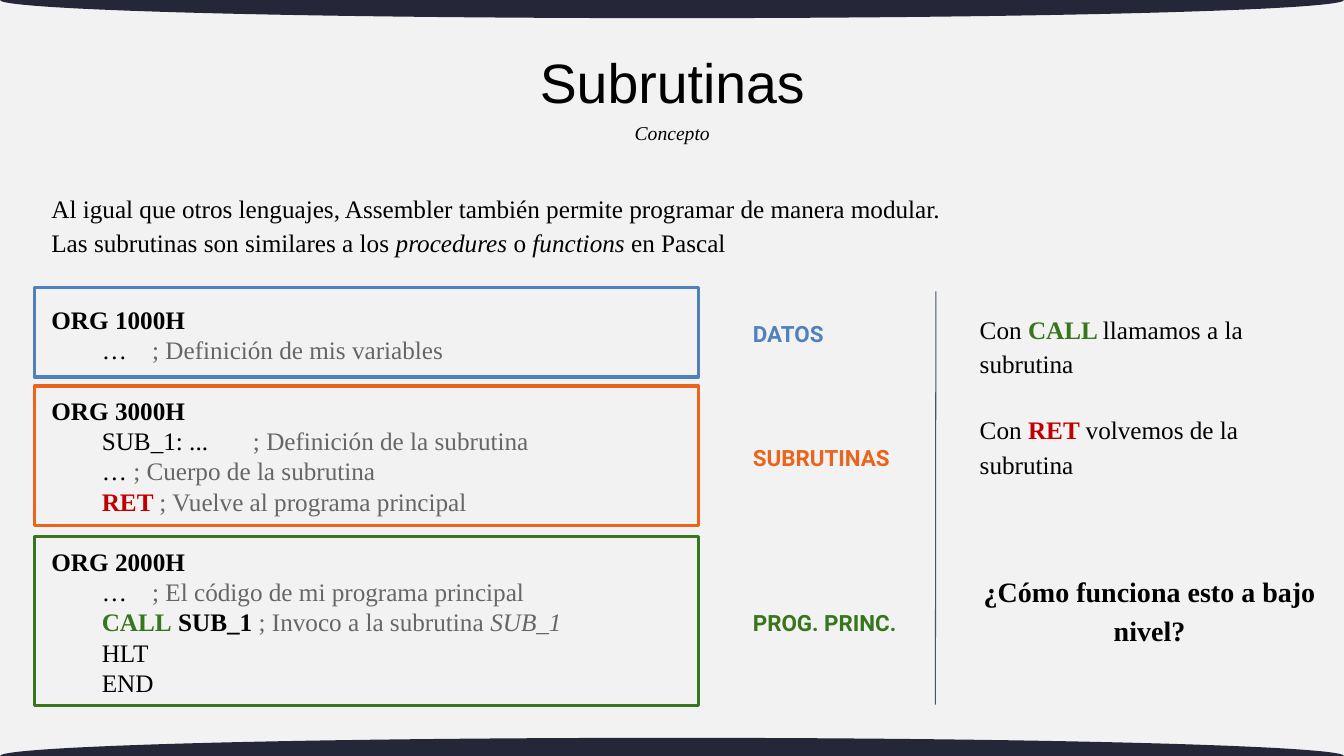
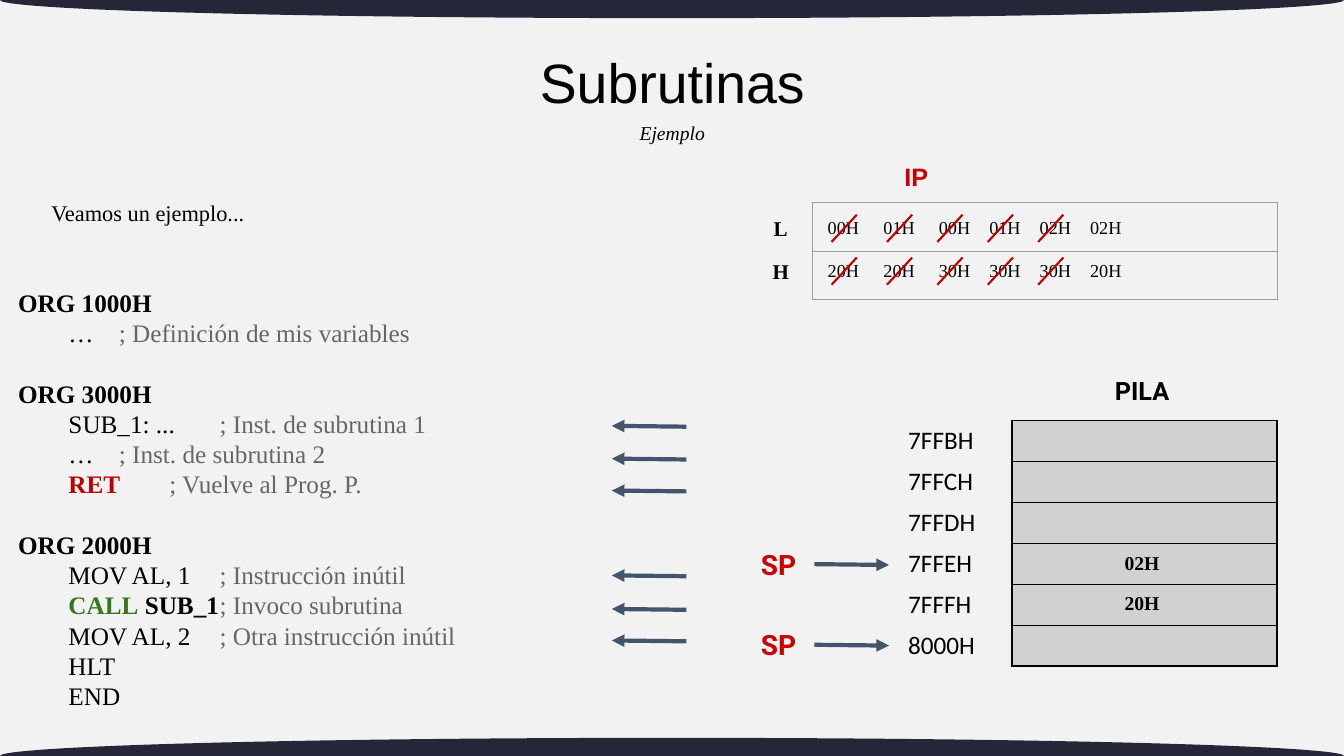
"""Build two slides on assembler subroutines: the concept and a traced example."""
from dataclasses import dataclass
from typing import NamedTuple, Optional

from lxml.etree import SubElement
from pptx import Presentation
from pptx.dml.color import RGBColor
from pptx.enum.shapes import MSO_CONNECTOR as Link, MSO_SHAPE as Preset
from pptx.enum.text import MSO_ANCHOR as Anchor, PP_ALIGN as Align
from pptx.oxml.ns import qn
from pptx.util import Inches, Pt

GRID_COLS, GRID_ROWS, CELL = 160, 90, 1 / 12
SERIF, SANS, LABEL, ADDRESS = "Times New Roman", "Arial", "Roboto", "Calibri"
INK, PAPER, BAND, SLATE = "000000", "F2F2F2", "252738", "44546A"
BLUE, ORANGE, GREEN = "4F81BD", "EB641B", "38761D"
RED, BRIGHT_RED, COMMENT = "C00000", "CC0000", "666666"
STACK_FILL, GRID_GREY = "D0D1D2", "9E9E9E"
BLANK_LINE = 21.6
CODE_INDENT = 6


class Box(NamedTuple):
    col: float
    row: float
    cols: float
    rows: float


class Point(NamedTuple):
    col: float
    row: float


class Run(NamedTuple):
    text: str
    color: Optional[str] = None
    bold: Optional[bool] = None
    italic: Optional[bool] = None


@dataclass(frozen=True)
class Line:
    runs: tuple
    indent: float = 0
    tab: float = 0
    before: float = 0


@dataclass(frozen=True)
class Style:
    size: float = 18
    font: str = SERIF
    color: str = INK
    bold: bool = False
    italic: bool = False
    align: Align = Align.LEFT
    spacing: Optional[float] = None
    pad: float = 1.2
    anchor: Anchor = Anchor.TOP


@dataclass(frozen=True)
class Segment:
    label: str
    color: str
    row: float
    rows: float
    label_row: float


class IpValue(NamedTuple):
    center: float
    low: str
    high: str
    strike_end: Optional[float] = None


TITLE = Style(39.6, SANS, align=Align.CENTER, spacing=0.9, pad=0.6, anchor=Anchor.MIDDLE)
SUBTITLE = Style(14, italic=True, align=Align.CENTER, pad=0.6)
BODY = Style(spacing=1.15)
CODE = Style()
QUESTION = Style(20, bold=True, align=Align.CENTER, spacing=1.15)
POINTER = Style(20, LABEL, BRIGHT_RED, bold=True, align=Align.CENTER, pad=0.6)
PILE = Style(18, LABEL, bold=True, align=Align.CENTER, pad=0.6)
REGISTER = Style(18, SANS, BRIGHT_RED, bold=True, align=Align.CENTER, pad=0.6)
BYTE_NAME = Style(15, bold=True, align=Align.CENTER)
IP_BYTE = Style(13, align=Align.CENTER)
STACK_BYTE = Style(14, bold=True, align=Align.CENTER)
STACK_ADDRESS = Style(18, ADDRESS, pad=0.6)

SEGMENTS = (
    Segment("DATOS", BLUE, 34.2, 10.68, 36.96),
    Segment("SUBRUTINAS", ORANGE, 45.96, 16.56, 51.72),
    Segment("PROG. PRINC.", GREEN, 63.84, 20.16, 71.28),
)
IP_HISTORY = (
    IpValue(100.4, "00H", "20H", 102),
    IpValue(107.04, "01H", "20H", 108.6),
    IpValue(113.64, "00H", "30H", 114.6),
    IpValue(119.64, "01H", "30H", 120.6),
    IpValue(125.64, "02H", "30H", 126.6),
    IpValue(131.64, "02H", "20H"),
)
STACK_ADDRESSES = ("7FFBH", "7FFCH", "7FFDH", "7FFEH", "7FFFH", "8000H")


def units(count: float) -> int:
    """Turn grid cells into a length."""
    return Inches(count * CELL)


def rgb(value: str) -> RGBColor:
    """Turn a hex string into a colour."""
    return RGBColor.from_string(value)


def org(address: str, before: float = BLANK_LINE) -> Line:
    """Give the directive that opens a memory segment."""
    return Line((Run(f"ORG {address}", bold=True),), before=before)


def code(*runs: Run, note: str = "", tab: float = 0) -> Line:
    """Give an indented instruction with an optional comment."""
    remark = (Run(note, COMMENT),) if note else ()
    return Line(runs + remark, CODE_INDENT, tab)


def plain(text: str) -> Line:
    """Give a line of one unmarked run."""
    return Line((Run(text),))


def fill_frame(frame, lines: tuple, style: Style) -> None:
    """Write lines into a text frame."""
    for number, line in enumerate(lines):
        paragraph = frame.add_paragraph() if number else frame.paragraphs[0]
        props = paragraph._p.get_or_add_pPr()
        if line.indent:
            props.set("marL", "0")
            props.set("indent", str(units(line.indent)))
        if line.tab:
            stops = SubElement(props, qn("a:tabLst"))
            SubElement(stops, qn("a:tab"), pos=str(units(line.tab)), algn="l")
        layout = {"alignment": style.align, "line_spacing": style.spacing,
                  "space_before": Pt(line.before)}
        for name, value in layout.items():
            setattr(paragraph, name, value)
        for part in line.runs:
            run = paragraph.add_run()
            run.text = part.text
            look = {"name": style.font, "size": Pt(style.size),
                    "bold": style.bold if part.bold is None else part.bold,
                    "italic": style.italic if part.italic is None else part.italic}
            for name, value in look.items():
                setattr(run.font, name, value)
            run.font.color.rgb = rgb(part.color or style.color)


def write(slide, box: Box, style: Style, *lines: Line) -> None:
    """Add a wrapping text box."""
    frame = slide.shapes.add_textbox(*map(units, box)).text_frame
    settings = {"word_wrap": True, "vertical_anchor": style.anchor,
                "margin_left": units(1.2), "margin_right": units(1.2),
                "margin_top": units(style.pad), "margin_bottom": units(style.pad)}
    for name, value in settings.items():
        setattr(frame, name, value)
    fill_frame(frame, lines, style)


def draw_shape(slide, preset: Preset, box: Box, fill: str = "", line: str = "") -> None:
    """Add a filled or outlined preset shape."""
    shape = slide.shapes.add_shape(preset, *map(units, box))
    shape.shadow.inherit = False
    if fill:
        shape.fill.solid()
        shape.fill.fore_color.rgb = rgb(fill)
    else:
        shape.fill.background()
    if line:
        shape.line.color.rgb = rgb(line)
        shape.line.width = Pt(2.25)
    else:
        shape.line.fill.background()


def draw_line(slide, start: Point, end: Point, color: str, width: float, arrow: bool = False) -> None:
    """Add a straight line, with an arrowhead at its end on request."""
    link = slide.shapes.add_connector(Link.STRAIGHT, *map(units, start + end))
    link.line.color.rgb = rgb(color)
    link.line.width = Pt(width)
    if arrow:
        SubElement(link.line._get_or_add_ln(), qn("a:tailEnd"), type="triangle")
    SubElement(link._element.spPr, qn("a:effectLst"))


def style_cell(cell, color: str, fill: str = "", **widths: float) -> None:
    """Set a cell's borders by side, then its fill."""
    props = cell._tc.get_or_add_tcPr()
    for side in "LRTB":
        width = widths.get(side, 0)
        edge = SubElement(props, qn(f"a:ln{side}"), w=str(Pt(width)))
        if width:
            SubElement(SubElement(edge, qn("a:solidFill")), qn("a:srgbClr"), val=color)
        else:
            SubElement(edge, qn("a:noFill"))
    if fill:
        cell.fill.solid()
        cell.fill.fore_color.rgb = rgb(fill)
    else:
        cell.fill.background()


def add_grid(slide, at: Point, columns: tuple, rows: int, height: float):
    """Add an unbanded table of equal rows."""
    box = Box(*at, sum(columns), rows * height)
    table = slide.shapes.add_table(rows, len(columns), *map(units, box)).table
    for name in ("first_row", "horz_banding"):
        setattr(table, name, False)
    for column, width in zip(table.columns, columns):
        column.width = units(width)
    for row in table.rows:
        row.height = units(height)
    return table


def start_slide(deck, subtitle: str):
    """Add a slide with the shared background, bands and headings."""
    slide = deck.slides.add_slide(deck.slide_layouts[6])
    slide.background.fill.solid()
    slide.background.fill.fore_color.rgb = rgb(PAPER)
    for edge in (0, GRID_ROWS):
        draw_shape(slide, Preset.OVAL, Box(0, edge - 2.16, GRID_COLS, 4.32), fill=BAND)
    write(slide, Box(42.12, 4.56, 75.84, 11.28), TITLE, plain("Subrutinas"))
    write(slide, Box(52.8, 13.8, 54.48, 4.08), SUBTITLE, plain(subtitle))
    return slide


def build_concept(deck) -> None:
    """Show the program's segments and the two instructions."""
    slide = start_slide(deck, "Concepto")
    for segment in SEGMENTS:
        draw_shape(slide, Preset.RECTANGLE, Box(4.08, segment.row, 79.08, segment.rows), line=segment.color)
        write(slide, Box(88.44, segment.label_row, 20.76, 5.28),
              Style(16, LABEL, segment.color, bold=True), plain(segment.label))
    write(slide, Box(4.92, 21.24, 140.52, 11.28), BODY,
          plain("Al igual que otros lenguajes, Assembler también permite programar de manera modular."),
          Line((Run("Las subrutinas son similares a los "), Run("procedures ", italic=True), Run("o "),
                Run("functions", italic=True), Run(" en Pascal"))))
    write(slide, Box(4.92, 35.04, 75.84, 48.72), CODE,
          org("1000H", before=0),
          code(Run("…\t"), note="; Definición de mis variables", tab=10.45),
          org("3000H"),
          code(Run("SUB_1: ...\t"), note="; Definición de la subrutina", tab=20.2),
          code(Run("… "), note="; Cuerpo de la subrutina"),
          code(Run("RET ", RED, True), note="; Vuelve al programa principal"),
          org("2000H"),
          code(Run("…\t"), note="; El código de mi programa principal", tab=10.45),
          code(Run("CALL", GREEN, True), Run(" SUB_1 ", bold=True),
               Run("; Invoco a la subrutina ", COMMENT), Run("SUB_1", COMMENT, italic=True)),
          code(Run("HLT")), code(Run("END")))
    draw_line(slide, Point(111.42, 34.68), Point(111.36, 83.88), SLATE, 0.75)
    for row, keyword, color, effect in ((35.64, "CALL ", GREEN, "llamamos a la subrutina"),
                                        (47.64, "RET ", RED, "volvemos de la subrutina")):
        write(slide, Box(115.44, row, 42.84, 11.28), BODY,
              Line((Run("Con "), Run(keyword, color, True), Run(effect))))
    write(slide, Box(115.44, 66.6, 42.84, 11.28), QUESTION, plain("¿Cómo funciona esto a bajo nivel?"))


def draw_stack(slide) -> None:
    """Draw the stack, its addresses, its bytes and the stack pointers."""
    table = add_grid(slide, Point(106.92, 50.04), (13.56, 31.56), len(STACK_ADDRESSES), 4.88)
    for row, address in enumerate(STACK_ADDRESSES):
        bottom = 2.25 if row == len(STACK_ADDRESSES) - 1 else 1
        fill_frame(table.cell(row, 0).text_frame, (plain(address),), STACK_ADDRESS)
        style_cell(table.cell(row, 0), INK, R=1)
        style_cell(table.cell(row, 1), INK, STACK_FILL, L=1, R=2.25, T=1, B=bottom)
    write(slide, Box(128.64, 44.04, 14.64, 6), PILE, plain("PILA"))
    for row, byte in ((64.44, "02H"), (69.12, "20H")):
        write(slide, Box(131.16, row, 9.6, 4.08), STACK_BYTE, plain(byte))
    for row in (64.56, 74.16):
        write(slide, Box(87.36, row, 10.68, 5.16), POINTER, plain("SP"))
        draw_line(slide, Point(96.96, row + 2.6), Point(105.84, row + 2.7), SLATE, 3, arrow=True)


def draw_ip(slide) -> None:
    """Draw the instruction pointer's successive values."""
    table = add_grid(slide, Point(96.72, 24.12), (55.32,), 2, 5.76)
    for row in range(2):
        style_cell(table.cell(row, 0), GRID_GREY, L=0.75, R=0.75, T=0.75, B=0.75)
    write(slide, Box(96.96, 18.6, 24.24, 4.8), REGISTER, plain("IP"))
    for name, field, row in (("L", "low", 24.6), ("H", "high", 29.7)):
        write(slide, Box(89.88, row - 0.12, 6.12, 4.8), BYTE_NAME, plain(name))
        for value in IP_HISTORY:
            write(slide, Box(value.center - 4, row, 8, 4.08), IP_BYTE, plain(getattr(value, field)))
            if value.strike_end:
                draw_line(slide, Point(value.strike_end, row + 0.96),
                          Point(value.strike_end - 3, row + 4.2), RED, 1.5)


def build_example(deck) -> None:
    """Trace a call through the code, the pointer and the stack."""
    slide = start_slide(deck, "Ejemplo")
    write(slide, Box(4.92, 20.88, 32.88, 6.6), Style(16, spacing=1.5), plain("Veamos un ejemplo..."))
    draw_stack(slide)
    draw_ip(slide)
    write(slide, Box(0.96, 33, 70.32, 53.4), CODE,
          org("1000H", before=0),
          code(Run("…\t"), note="; Definición de mis variables", tab=10.45),
          org("3000H"),
          code(Run("SUB_1: ...\t"), note="; Inst. de subrutina 1", tab=24),
          code(Run("…\t"), note="; Inst. de subrutina 2", tab=36),
          code(Run("RET\t", RED, True), note="; Vuelve al Prog. P.", tab=36),
          org("2000H"),
          code(Run("MOV AL, 1\t"), note="; Instrucción inútil", tab=36),
          code(Run("CALL", GREEN, True), Run(" SUB_1\t", bold=True), note="; Invoco subrutina", tab=36),
          code(Run("MOV AL, 2\t"), note="; Otra instrucción inútil", tab=24),
          code(Run("HLT")), code(Run("END")))
    for row in (50.7, 54.6, 58.4, 68.5, 72.5, 76.25):
        draw_line(slide, Point(81.72, row + 0.1), Point(72.84, row), SLATE, 3, arrow=True)


def main() -> None:
    """Build and save the deck."""
    deck = Presentation()
    deck.slide_width, deck.slide_height = units(GRID_COLS), units(GRID_ROWS)
    build_concept(deck)
    build_example(deck)
    deck.save("out.pptx")


if __name__ == "__main__":
    main()
